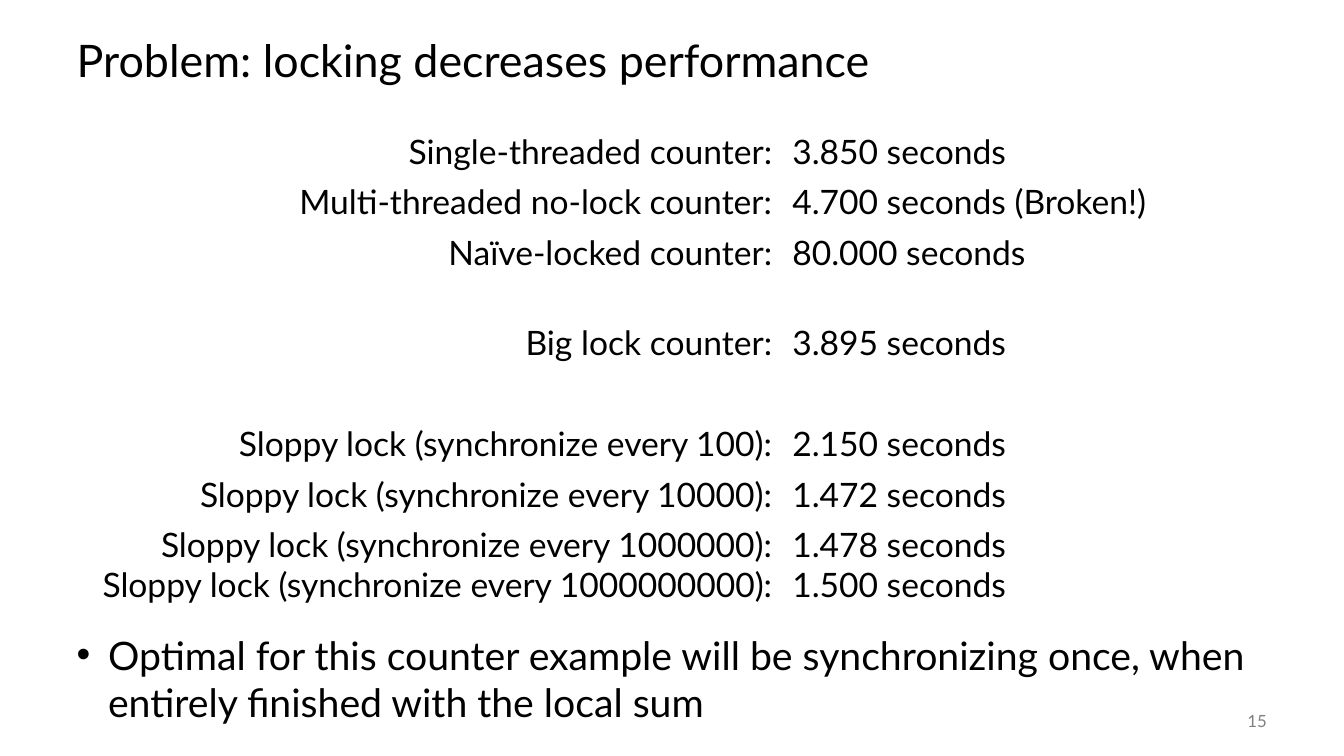
from dataclasses import dataclass

from lxml.etree import SubElement as AddNode
from pptx import Presentation as Deck
from pptx.dml.color import RGBColor as Color
from pptx.enum.text import MSO_ANCHOR as Anchor, MSO_AUTO_SIZE as Fit, PP_ALIGN as Align
from pptx.oxml.ns import qn
from pptx.slide import Slide
from pptx.text.text import TextFrame as Frame
from pptx.util import Pt


@dataclass(frozen=True)
class Theme:
    font: str = "Lato"
    ink: Color = Color(0x00, 0x00, 0x00)
    gray: Color = Color(0x80, 0x80, 0x80)
    head: float = 32
    list: float = 28
    cell: float = 24
    page: float = 12


@dataclass(frozen=True)
class Box:
    left: float
    top: float
    width: float
    height: float


@dataclass(frozen=True)
class Row:
    name: str = ""
    time: str = ""
    height: float = 36


THEME = Theme()
LEFT, WIDTH = 47.5, 864
COLS = (511.2, 352.8)
TALL = 64.8
HANG = 22.5

ROWS = (
    Row("Single-threaded counter:", "3.850 seconds"),
    Row("Multi-threaded no-lock counter:", "4.700 seconds (Broken!)"),
    Row("Naïve-locked counter:", "80.000 seconds", TALL),
    Row("Big lock counter:", "3.895 seconds"),
    Row(),
    Row("Sloppy lock (synchronize every 100):", "2.150 seconds"),
    Row("Sloppy lock (synchronize every 10000):", "1.472 seconds"),
    Row(
        "Sloppy lock (synchronize every 1000000):\nSloppy lock (synchronize every 1000000000):",
        "1.478 seconds\n1.500 seconds",
        TALL,
    ),
)


def put(frame: Frame, text: str, *, size: float, color: Color = THEME.ink,
        align: Align = Align.LEFT, space: float = 1, mark: str = "") -> None:
    frame.text = text
    for para in frame.paragraphs:
        if mark:
            props = para._p.get_or_add_pPr()
            props.set("marL", str(Pt(HANG)))
            props.set("indent", str(-Pt(HANG)))
            AddNode(props, qn("a:buChar"), char=mark)
        para.alignment = align
        para.line_spacing = space
        para.space_before = Pt(0)
        font = para.font
        font.name, font.size = THEME.font, Pt(size)
        font.color.rgb = color


def place(shape, box: Box, anchor: Anchor, fit: Fit = Fit.NONE) -> Frame:
    shape.left, shape.top = Pt(box.left), Pt(box.top)
    shape.width, shape.height = Pt(box.width), Pt(box.height)
    frame = shape.text_frame
    frame.word_wrap = True
    frame.auto_size = fit
    frame.vertical_anchor = anchor
    return frame


def draw_times(slide: Slide, rows: tuple[Row, ...], top: float) -> None:
    height = sum(row.height for row in rows)
    table = slide.shapes.add_table(
        len(rows), len(COLS), Pt(LEFT), Pt(top), Pt(WIDTH), Pt(height)
    ).table
    table.first_row = table.horz_banding = False
    for col, width in zip(table.columns, COLS):
        col.width = Pt(width)
    for line, row in zip(table.rows, rows):
        line.height = Pt(row.height)
        for cell, text, align in zip(line.cells, (row.name, row.time), (Align.RIGHT, Align.LEFT)):
            cell.fill.background()
            put(cell.text_frame, text, size=THEME.cell, align=align)


def main() -> None:
    deck = Deck()
    deck.slide_width, deck.slide_height = Pt(960), Pt(540)
    slide = deck.slides.add_slide(deck.slide_layouts[1])

    title = place(slide.shapes.title, Box(LEFT, 18, WIDTH, 54), Anchor.MIDDLE)
    put(title, "Problem: locking decreases performance", size=THEME.head, space=0.9)

    draw_times(slide, ROWS, 90)

    body = place(slide.placeholders[1], Box(LEFT, 447, WIDTH, 75), Anchor.TOP, Fit.SHAPE_TO_FIT_TEXT)
    put(body, "Optimal for this counter example will be synchronizing once, when "
        "entirely finished with the local sum", size=THEME.list, mark="•")

    page = slide.shapes.add_textbox(0, 0, 0, 0)
    put(place(page, Box(840, 500.5, 72, 28.5), Anchor.MIDDLE), "15",
        size=THEME.page, color=THEME.gray, align=Align.RIGHT)

    deck.save("out.pptx")


if __name__ == "__main__":
    main()
